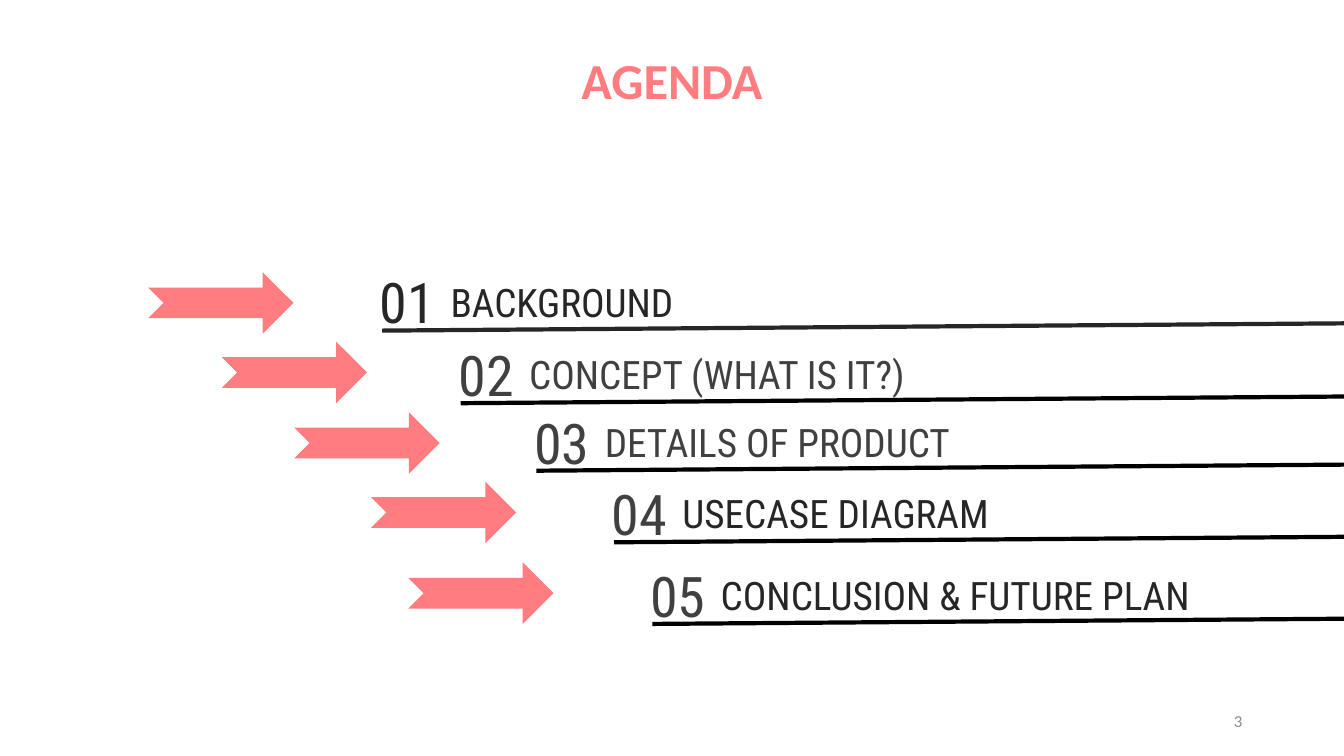
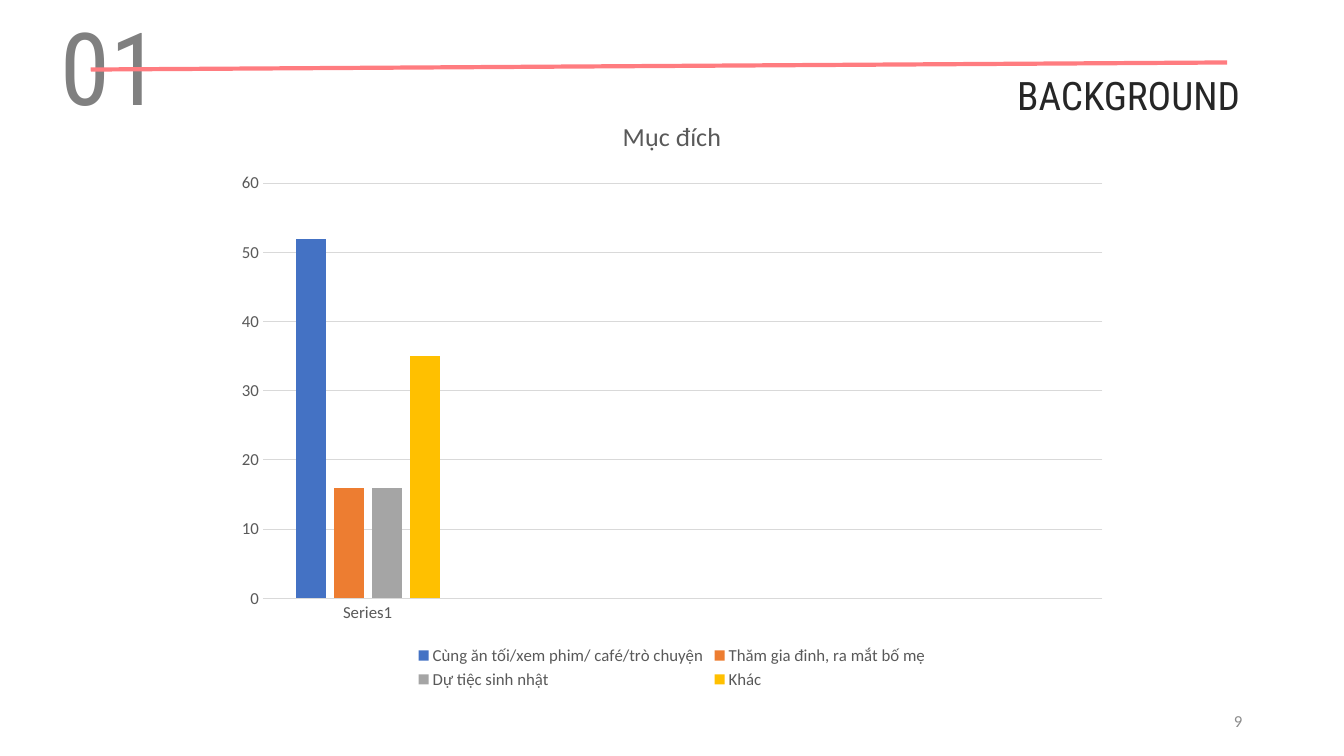
from lxml import etree
from pptx import Presentation
from pptx import util as u
from pptx.chart import data
from pptx.dml import color
from pptx.enum import chart as ch, shapes, text
from pptx.oxml import ns

PINK, INK, DARK, BLACK = "FF7C80", "262626", "404040", "000000"
GREY, PALE, GRID, NUM = "595959", "8C8C8C", "D9D9D9", "808080"
ROBO, CALI = "Roboto Condensed", "Calibri"
LEFT, MID, RIGHT = text.PP_ALIGN.LEFT, text.PP_ALIGN.CENTER, text.PP_ALIGN.RIGHT

# Text styles shared by the slides
TITLE = {"name": CALI, "size": u.Pt(36), "bold": True}
HEAD = {"name": ROBO, "size": u.Pt(28)}
COUNT = {"name": ROBO, "size": u.Pt(40)}
BIG = {"name": ROBO, "size": u.Pt(72)}
SMALL = {"name": CALI, "size": u.Pt(12)}
CAPTION = {"name": CALI, "size": u.Pt(18.6), "bold": False}

# Agenda: number, label, arrow left and top, number left and top, label width,
# number, label and rule colours
ITEMS = [
    ("01", "BACKGROUND", 1.47, 2.7, 3.67, 2.61, 4.19, INK, INK, INK),
    ("02", "CONCEPT (WHAT IS IT?)", 2.2, 3.39, 4.45, 3.33, 4.19, DARK, DARK, BLACK),
    ("03", "DETAILS OF PRODUCT", 2.92, 4.09, 5.2, 4, 4.19, DARK, DARK, BLACK),
    ("04", "USECASE DIAGRAM", 3.68, 4.78, 5.97, 4.71, 5.58, DARK, INK, BLACK),
    ("05", "CONCLUSION & FUTURE PLAN", 4.05, 5.58, 6.35, 5.52, 5.58, DARK, INK, BLACK),
]

# Chart: series name, value, colour
BARS = [
    ("Cùng ăn tối/xem phim/ café/trò chuyện", 52, "4472C4"),
    ("Thăm gia đinh, ra mắt bố mẹ", 16, "ED7D31"),
    ("Dự tiệc sinh nhật", 16, "A5A5A5"),
    ("Khác", 35, "FFC000"),
]


def rgb(tone):
    return color.RGBColor.from_string(tone)


def box(*sides):
    return [u.Inches(side) for side in sides]


def style(font, look, tone):
    for key, val in look.items():
        setattr(font, key, val)
    font.color.rgb = rgb(tone)


def fill(part, tone):
    part.fill.solid()
    part.fill.fore_color.rgb = rgb(tone)


def stroke(line, tone, width):
    line.color.rgb = rgb(tone)
    line.width = u.Pt(width)


def label(slide, words, at, look, tone, align=LEFT, grow=True):
    frame = slide.shapes.add_textbox(*box(*at)).text_frame
    frame.word_wrap = True
    if grow:
        frame.auto_size = text.MSO_AUTO_SIZE.SHAPE_TO_FIT_TEXT
    else:
        frame.vertical_anchor = text.MSO_ANCHOR.MIDDLE
    para = frame.paragraphs[0]
    para.alignment = align
    run = para.add_run()
    run.text = words
    style(run.font, look, tone)


def rule(slide, start, end, tone):
    line = slide.shapes.add_connector(
        shapes.MSO_CONNECTOR.STRAIGHT, *box(*start, *end))
    stroke(line.line, tone, 3)
    etree.SubElement(line._element.spPr, ns.qn("a:effectLst"))


def arrow(slide, left, top):
    shape = slide.shapes.add_shape(
        shapes.MSO_SHAPE.NOTCHED_RIGHT_ARROW, *box(left, top, 1.44, 0.61))
    shape.shadow.inherit = False
    fill(shape, PINK)
    shape.line.fill.background()


def page(deck, number):
    slide = deck.slides.add_slide(deck.slide_layouts[6])
    label(slide, number, (9.42, 6.95, 3, 0.4), SMALL, PALE, RIGHT, grow=False)
    return slide


def item(slide, count, words, ax, ay, x, y, width, ctone, wtone, ltone):
    arrow(slide, ax, ay)
    label(slide, count, (x, y, 1.07, 0.77), COUNT, ctone)
    label(slide, words, (x + 0.7, y + 0.1, width, 0.57), HEAD, wtone)
    rule(slide, (x + 0.12, y + 0.67), (x + 10.73, y + 0.59), ltone)


def bars(slide, at):
    table = data.CategoryChartData()
    table.categories = ["Series1", "", "", ""]
    for name, value, _ in BARS:
        table.add_series(name, (value, None, None, None))
    chart = slide.shapes.add_chart(
        ch.XL_CHART_TYPE.COLUMN_CLUSTERED, *box(*at), table).chart
    style(chart.font, SMALL, GREY)

    # Title and legend
    chart.has_title = True
    para = chart.chart_title.text_frame.paragraphs[0]
    run = para.add_run()
    run.text = "Mục đích"
    style(run.font, CAPTION, GREY)
    chart.has_legend = True
    chart.legend.position = ch.XL_LEGEND_POSITION.BOTTOM
    chart.legend.include_in_layout = False
    style(chart.legend.font, SMALL, GREY)

    # Axes
    for axis in (chart.category_axis, chart.value_axis):
        axis.major_tick_mark = axis.minor_tick_mark = ch.XL_TICK_MARK.NONE
        style(axis.tick_labels.font, SMALL, GREY)
    stroke(chart.category_axis.format.line, GRID, 0.75)
    scale = chart.value_axis
    scale.minimum_scale, scale.maximum_scale, scale.major_unit = 0, 60, 10
    scale.format.line.fill.background()
    stroke(scale.major_gridlines.format.line, GRID, 0.75)

    # Columns
    plot = chart.plots[0]
    plot.vary_by_categories = False
    plot.gap_width, plot.overlap = 219, -27
    for series, (_, _, tone) in zip(plot.series, BARS):
        fill(series.format, tone)


def agenda(deck):
    slide = page(deck, "3")
    label(slide, "AGENDA", (2.68, 0.44, 7.97, 0.71), TITLE, PINK, MID)
    for entry in ITEMS:
        item(slide, *entry)


def purpose(deck):
    slide = page(deck, "9")
    label(slide, "01", (0.5, 0, 5.47, 1.31), BIG, NUM)
    rule(slide, (0.9, 0.69), (12.17, 0.62), PINK)
    label(slide, "BACKGROUND", (9.99, 0.66, 3.05, 0.57), HEAD, INK)
    bars(slide, (2.22, 0.95, 8.89, 5.93))


def main():
    deck = Presentation()
    deck.slide_width, deck.slide_height = box(13.33, 7.5)
    agenda(deck)
    purpose(deck)
    deck.save("out.pptx")


if __name__ == "__main__":
    main()
